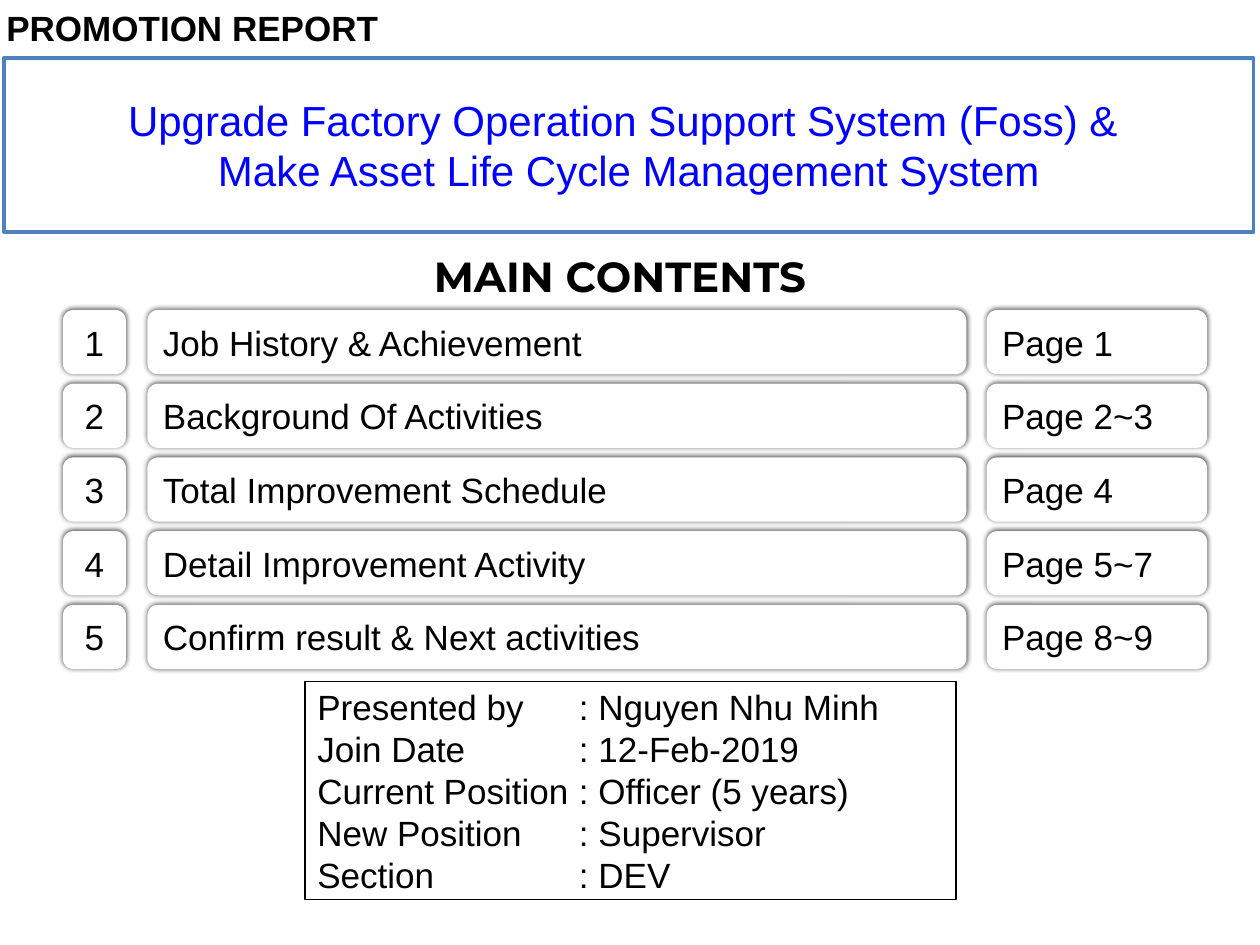
"""Build the opening slide of a promotion report with its table of contents."""
from lxml import etree
from pptx import Presentation
from pptx.dml.color import RGBColor
from pptx.enum.shapes import MSO_SHAPE
from pptx.enum.text import MSO_ANCHOR, PP_ALIGN
from pptx.oxml.ns import qn
from pptx.util import Inches, Pt

RECTANGLE, ROUNDED = MSO_SHAPE.RECTANGLE, MSO_SHAPE.ROUNDED_RECTANGLE
LEFT, CENTER = PP_ALIGN.LEFT, PP_ALIGN.CENTER
MIDDLE = MSO_ANCHOR.MIDDLE

COLORS = {"text": "000000", "paper": "FFFFFF", "title": "0000FF", "frame": "4F81BD"}

REPORT_LABEL = "PROMOTION REPORT"
TITLE_LINES = [
    "Upgrade Factory Operation Support System (Foss) & ",
    "Make Asset Life Cycle Management System",
]
CONTENTS_HEADING = "MAIN CONTENTS"
CONTENTS = [
    ("1", "Job History & Achievement", "Page 1"),
    ("2", "Background Of Activities", "Page 2~3"),
    ("3", "Total Improvement Schedule", "Page 4"),
    ("4", "Detail Improvement Activity", "Page 5~7"),
    ("5", "Confirm result & Next activities", "Page 8~9"),
]
PRESENTER = [
    ("Presented by", "Nguyen Nhu Minh"),
    ("Join Date", "12-Feb-2019"),
    ("Current Position", "Officer (5 years)"),
    ("New Position", "Supervisor"),
    ("Section", "DEV"),
]

COLUMNS = [(0.5, 0.5, CENTER), (1.17, 6.5, LEFT), (7.83, 1.75, LEFT)]
FIRST_ROW, ROW_STEP, ROW_HEIGHT = 2.46, 0.585, 0.51
VALUE_TAB = 2


def color(name):
    return RGBColor.from_string(COLORS[name])


def write(shape, lines, size=20, align=LEFT, ink="text", font="Arial", bold=False, tab=None):
    frame = shape.text_frame
    frame.word_wrap = False
    frame.vertical_anchor = MIDDLE
    for index, line in enumerate(lines):
        paragraph = frame.paragraphs[0] if index == 0 else frame.add_paragraph()
        paragraph.alignment = align
        if tab:
            properties = paragraph._p.get_or_add_pPr()
            tabs = etree.SubElement(properties, qn("a:tabLst"))
            etree.SubElement(tabs, qn("a:tab"), pos=str(Inches(tab)), algn="l")
        run = paragraph.add_run()
        run.text = line
        run.font.size = Pt(size)
        run.font.name = font
        run.font.bold = bold
        run.font.color.rgb = color(ink)


def add_box(slide, kind, place, fill="paper", line=None, width=1):
    shape = slide.shapes.add_shape(kind, *map(Inches, place))
    shape.shadow.inherit = False
    if fill:
        shape.fill.solid()
        shape.fill.fore_color.rgb = color(fill)
    else:
        shape.fill.background()
    if line:
        shape.line.color.rgb = color(line)
        shape.line.width = Pt(width)
    else:
        shape.line.fill.background()
    return shape


def add_soft_edge_shadow(shape):
    effects = shape._element.spPr.find(qn("a:effectLst"))
    shadow = etree.SubElement(
        effects, qn("a:outerShdw"), blurRad=str(Pt(3)), dist=str(Pt(0.7)),
        dir="16200000", algn="ctr", rotWithShape="0")
    ink = etree.SubElement(shadow, qn("a:srgbClr"), val=COLORS["text"])
    etree.SubElement(ink, qn("a:alpha"), val="70000")


def add_contents(slide):
    heading = add_box(slide, RECTANGLE, (3.42, 1.95, 3, 0.47))
    write(heading, [CONTENTS_HEADING], 24, CENTER, font="Montserrat", bold=True)
    for row, entry in enumerate(CONTENTS):
        top = FIRST_ROW + row * ROW_STEP
        for text, (left, width, align) in zip(entry, COLUMNS):
            cell = add_box(slide, ROUNDED, (left, top, width, ROW_HEIGHT))
            add_soft_edge_shadow(cell)
            write(cell, [text], align=align)


def add_report_label(slide):
    label = slide.shapes.add_textbox(*map(Inches, (0.05, 0, 3.3, 0.43)))
    label.text_frame.margin_left = label.text_frame.margin_right = 0
    write(label, [REPORT_LABEL], bold=True)
    label.text_frame.word_wrap = True


def main():
    presentation = Presentation()
    presentation.slide_width, presentation.slide_height = Inches(10), Inches(7.5)
    slide = presentation.slides.add_slide(presentation.slide_layouts[6])

    add_contents(slide)

    presenter = add_box(slide, RECTANGLE, (2.42, 5.41, 5.17, 1.73), None, "text")
    write(presenter, [f"{label}\t : {value}" for label, value in PRESENTER], tab=VALUE_TAB)

    title = add_box(slide, RECTANGLE, (0.03, 0.46, 9.92, 1.38), line="frame", width=2)
    write(title, TITLE_LINES, 24, CENTER, "title")

    add_report_label(slide)

    presentation.save("out.pptx")


if __name__ == "__main__":
    main()
